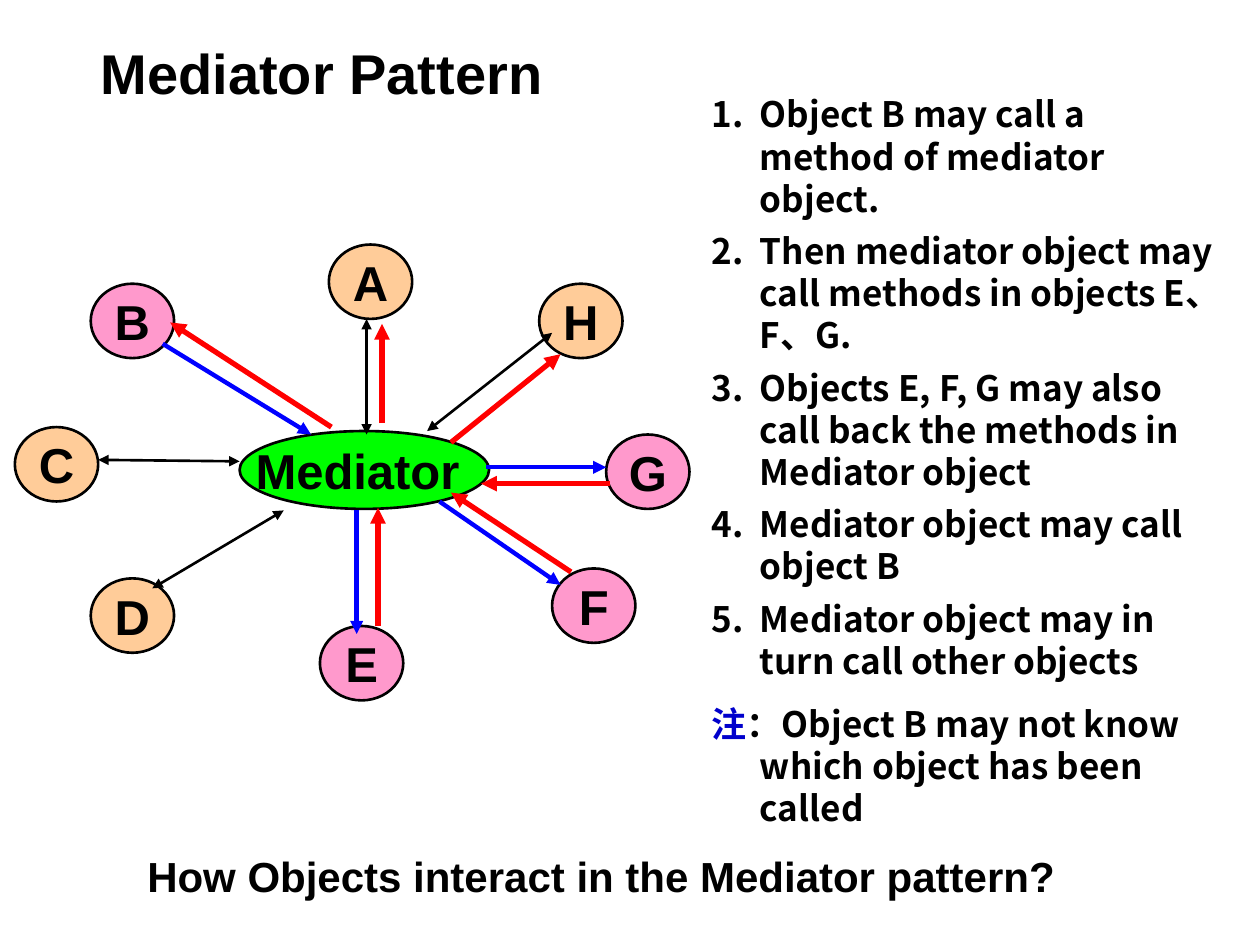
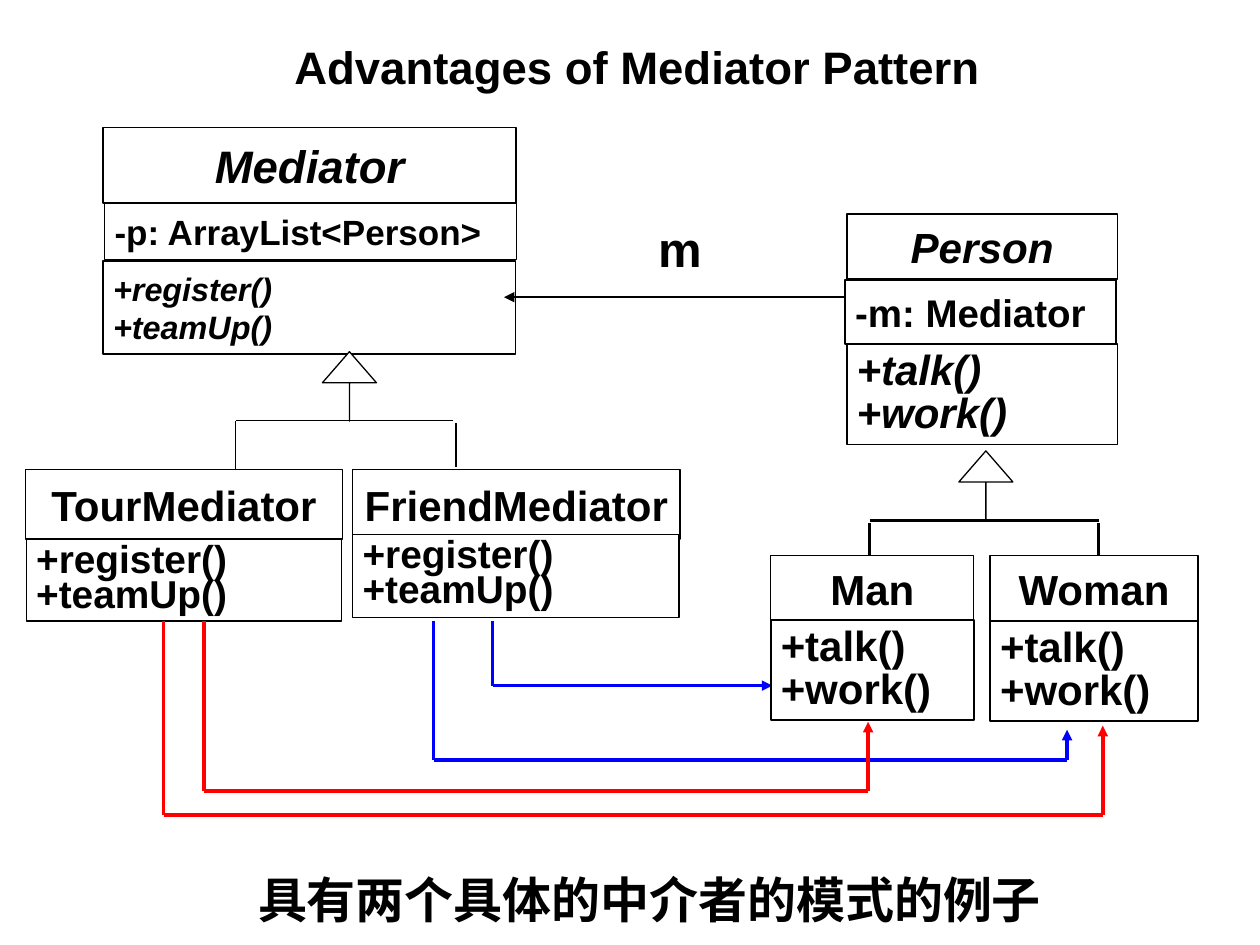
from dataclasses import dataclass
from itertools import pairwise
from typing import NamedTuple

from pptx import Presentation
from pptx.dml.color import RGBColor
from pptx.enum.shapes import MSO_CONNECTOR, MSO_SHAPE
from pptx.enum.text import MSO_ANCHOR, PP_ALIGN
from pptx.oxml.ns import qn
from pptx.util import Cm, Pt
from lxml.etree import SubElement

BLACK, WHITE, BLUE, RED = "000000", "FFFFFF", "0000FF", "FF0000"
PINK, PEACH, GREEN, NOTE_BLUE = "FF99CC", "FFCC99", "00FF00", "0000CC"
LATIN, CJK = "Arial", "Noto Sans CJK SC"
LEFT, CENTER = PP_ALIGN.LEFT, PP_ALIGN.CENTER
SHAPE_INSETS = {"margin_left": Cm(0.2), "margin_right": Cm(0.2),
                "margin_top": Cm(0.1), "margin_bottom": Cm(0.1)}
LIST_INDENT = Cm(0.97)


class Box(NamedTuple):
    x: float
    y: float
    w: float
    h: float

    def lengths(self) -> list:
        return [Cm(v) for v in self]


@dataclass
class Label:
    text: str
    box: Box
    size: float
    font: str = LATIN
    anchor: MSO_ANCHOR = MSO_ANCHOR.TOP
    spacing: object = None


@dataclass
class Node:
    text: str
    box: Box
    fill: str


@dataclass
class Compartment:
    lines: list
    box: Box
    size: float
    align: PP_ALIGN = LEFT
    italic: bool = False
    spacing: float = 1.0
    width: float = 0.75


@dataclass
class Route:
    points: list
    color: str = BLACK
    width: float = 1.5
    head: bool = False
    tail: bool = False


def rgb(value: str) -> RGBColor:
    return RGBColor.from_string(value)


def add_run(p, text: str, size: float, font: str = LATIN,
            color: str = BLACK, italic: bool = False) -> None:
    r = p.add_run()
    r.text = text
    fmt = {"name": font, "size": Pt(size), "bold": True, "italic": italic}
    for key, value in fmt.items():
        setattr(r.font, key, value)
    r.font.color.rgb = rgb(color)
    SubElement(r._r.get_or_add_rPr(), qn("a:ea"), typeface=font)


def add_lines(tf, lines: list, size: float, align: PP_ALIGN, font: str = LATIN,
              italic: bool = False, spacing: object = None) -> None:
    for i, line in enumerate(lines):
        p = tf.add_paragraph() if i else tf.paragraphs[0]
        p.alignment = align
        p.line_spacing = spacing
        add_run(p, line, size, font, italic=italic)


def add_label(s, label: Label) -> None:
    tf = s.shapes.add_textbox(*label.box.lengths()).text_frame
    tf.word_wrap = True
    tf.vertical_anchor = label.anchor
    add_lines(tf, [label.text], label.size, CENTER, label.font,
              spacing=label.spacing)


def add_preset(s, kind: MSO_SHAPE, box: Box, fill: str, width: float):
    sp = s.shapes.add_shape(kind, *box.lengths())
    sp.shadow.inherit = False
    sp.fill.solid()
    sp.fill.fore_color.rgb = rgb(fill)
    sp.line.color.rgb = rgb(BLACK)
    sp.line.width = Pt(width)
    sp.text_frame.vertical_anchor = MSO_ANCHOR.MIDDLE
    return sp


def add_node(s, node: Node) -> None:
    tf = add_preset(s, MSO_SHAPE.OVAL, node.box, node.fill, 1.5).text_frame
    tf.word_wrap = False
    add_lines(tf, [node.text], 28, CENTER)


def add_compartment(s, part: Compartment) -> None:
    tf = add_preset(s, MSO_SHAPE.RECTANGLE, part.box, WHITE, part.width).text_frame
    tf.word_wrap = True
    for key, value in SHAPE_INSETS.items():
        setattr(tf, key, value)
    add_lines(tf, part.lines, part.size, part.align,
              italic=part.italic, spacing=part.spacing)


def add_inheritance_arrow(s, x: float, y: float) -> None:
    sp = add_preset(s, MSO_SHAPE.UP_ARROW, Box(x, y, 1.09, 1.4), WHITE, 0.75)
    sp.adjustments[0], sp.adjustments[1] = 0, 0.576


def add_route(s, route: Route) -> None:
    segments = list(pairwise(route.points))
    for i, (start, end) in enumerate(segments):
        c = s.shapes.add_connector(MSO_CONNECTOR.STRAIGHT,
                                   *[Cm(v) for v in (*start, *end)])
        c.line.color.rgb = rgb(route.color)
        c.line.width = Pt(route.width)
        ln = c.line._get_or_add_ln()
        if route.head and i == 0:
            SubElement(ln, qn("a:headEnd"), type="triangle")
        if route.tail and i == len(segments) - 1:
            SubElement(ln, qn("a:tailEnd"), type="triangle")
        SubElement(c._element.spPr, qn("a:effectLst"))


def add_steps(s, box: Box, steps: list, note: list) -> None:
    tf = s.shapes.add_textbox(*box.lengths()).text_frame
    tf.word_wrap = True
    for i, runs in enumerate([[(step, BLACK)] for step in steps] + [note]):
        p = tf.add_paragraph() if i else tf.paragraphs[0]
        p.line_spacing = Pt(24)
        p.space_after = Pt(6)
        pPr = p._p.get_or_add_pPr()
        pPr.set("marL", str(LIST_INDENT))
        pPr.set("indent", str(-LIST_INDENT))
        if i < len(steps):
            SubElement(SubElement(pPr, qn("a:buClr")), qn("a:srgbClr"), val=BLACK)
            SubElement(pPr, qn("a:buFont"), typeface=CJK)
            SubElement(pPr, qn("a:buAutoNum"), type="arabicPeriod")
        else:
            p.space_before = Pt(6)
        for text, color in runs:
            add_run(p, text, 20, CJK, color)


def build_interaction(s) -> None:
    add_label(s, Label("Mediator Pattern", Box(1.27, 0.76, 10.44, 1.37), 32,
                       anchor=MSO_ANCHOR.MIDDLE))
    add_label(s, Label("How Objects interact in the Mediator pattern?",
                       Box(2.11, 17.02, 20.02, 1.27), 24))
    objects = [("B", 1.83, 5.72, PINK), ("E", 6.45, 12.62, PINK),
               ("A", 6.63, 4.93, PEACH), ("C", 0.3, 8.61, PEACH),
               ("D", 1.83, 11.66, PEACH), ("G", 12.22, 8.76, PINK),
               ("H", 10.87, 5.72, PEACH), ("F", 11.13, 11.46, PINK)]
    for name, x, y, fill in objects:
        add_node(s, Node(name, Box(x, y, 1.68, 1.5), fill))
    add_node(s, Node("Mediator ", Box(4.83, 8.69, 5.03, 1.57), GREEN))

    links = [[(7.39, 6.43), (7.39, 8.76)], [(1.98, 9.27), (4.83, 9.3)],
             [(3.07, 11.86), (5.72, 10.29)], [(11.13, 6.71), (8.61, 8.69)]]
    calls = [[(3.28, 6.93), (6.27, 8.76)], [(7.19, 10.29), (7.19, 12.78)],
             [(8.86, 10.11), (11.3, 11.79)], [(9.8, 9.42), (12.22, 9.42)]]
    callbacks = [[(7.62, 12.62), (7.62, 10.24)], [(11.51, 11.53), (9.09, 9.93)],
                 [(12.29, 9.75), (9.7, 9.75)], [(7.7, 8.53), (7.7, 6.53)],
                 [(9.09, 8.92), (11.3, 7.14)], [(6.68, 8.61), (3.43, 6.5)]]
    for group, color, width, head in ((links, BLACK, 1.5, True),
                                      (calls, BLUE, 2.5, False),
                                      (callbacks, RED, 3, False)):
        for points in group:
            add_route(s, Route(points, color, width, head, tail=True))

    add_steps(s, Box(14.1, 1.75, 10.9, 15.09),
              ["Object B may call a method of mediator object.",
               "Then mediator object may call methods in objects E、F、G.",
               "Objects E, F, G may also call back the methods in Mediator object",
               "Mediator object may call object B",
               "Mediator object may in turn call other objects"],
              [("注", NOTE_BLUE),
               ("：Object B may not know which object has been called", BLACK)])


def build_class_diagram(s) -> None:
    add_label(s, Label("Advantages of Mediator Pattern",
                       Box(1.42, 0.53, 22.86, 1.6), 26, anchor=MSO_ANCHOR.MIDDLE))
    add_label(s, Label("具有两个具体的中介者的模式的例子 ",
                       Box(4.11, 17.38, 18.19, 1.45), 28, CJK, spacing=Pt(34)))
    add_label(s, Label("m", Box(12.7, 4.29, 2.01, 1.45), 28))

    team = ["+register()", "+teamUp()"]
    acts = ["+talk()", "+work()"]
    mediators = [
        Compartment(["Mediator"], Box(2.08, 2.57, 8.33, 1.52), 26, CENTER, True, width=1),
        Compartment(team, Box(2.08, 5.26, 8.31, 1.88), 18.5, italic=True),
        Compartment(["-p: ArrayList<Person>"], Box(2.11, 4.11, 8.31, 1.12), 20),
        Compartment(["TourMediator"], Box(0.51, 9.47, 6.4, 1.4), 24, CENTER),
        Compartment(team, Box(0.53, 10.87, 6.35, 1.65), 22.2, spacing=0.75),
        Compartment(["FriendMediator"], Box(7.11, 9.47, 6.6, 1.4), 24, CENTER),
        Compartment(team, Box(7.11, 10.77, 6.58, 1.68), 22.2, spacing=0.75),
    ]
    people = [
        Compartment(["Person"], Box(17.07, 4.32, 5.46, 1.3), 24.1, CENTER, True, width=1),
        Compartment(acts, Box(17.07, 6.93, 5.46, 2.03), 24, LEFT, True, 0.85, 1),
        Compartment(["-m: Mediator"], Box(17.04, 5.64, 5.46, 1.3), 22, width=1),
    ]
    for name, x, y, w in (("Man", 15.54, 12.5, 4.09), ("Woman", 19.96, 12.52, 4.19)):
        people += [
            Compartment([name], Box(x, 11.2, w, 1.32), 24, CENTER),
            Compartment(acts, Box(x, y, w, 2.01), 24, spacing=0.85, width=1),
        ]
    routes = [
        Route([(17.53, 10.49), (22.15, 10.49)]),
        Route([(17.53, 10.54), (17.53, 11.2)]),
        Route([(22.15, 10.54), (22.15, 11.2)]),
        Route([(9.14, 8.48), (4.75, 8.48), (4.75, 9.47)], width=0.75),
        Route([(9.19, 8.53), (9.19, 9.42)], width=0.75),
        Route([(17.83, 5.99), (10.16, 5.99)], width=0.75, tail=True),
        Route([(9.93, 12.52), (9.93, 13.82), (15.57, 13.82)], BLUE, 2, tail=True),
        Route([(8.74, 12.52), (8.74, 15.32), (21.51, 15.32), (21.51, 14.71)],
              BLUE, 2, tail=True),
        Route([(4.11, 12.52), (4.11, 15.95), (17.5, 15.95), (17.5, 14.55)],
              RED, 2, tail=True),
        Route([(3.3, 12.52), (3.3, 16.43), (22.23, 16.43), (22.23, 14.63)],
              RED, 2, tail=True),
    ]
    for part in mediators:
        add_compartment(s, part)
    for route in routes:
        add_route(s, route)
    for part in people:
        add_compartment(s, part)
    add_inheritance_arrow(s, 6.5, 7.09)
    add_inheritance_arrow(s, 19.33, 9.09)


def main() -> None:
    prs = Presentation()
    prs.slide_width, prs.slide_height = Cm(25.4), Cm(19.05)
    for build in (build_interaction, build_class_diagram):
        s = prs.slides.add_slide(prs.slide_layouts[6])
        s.background.fill.solid()
        s.background.fill.fore_color.rgb = rgb(WHITE)
        build(s)
    prs.save("out.pptx")


if __name__ == "__main__":
    main()
